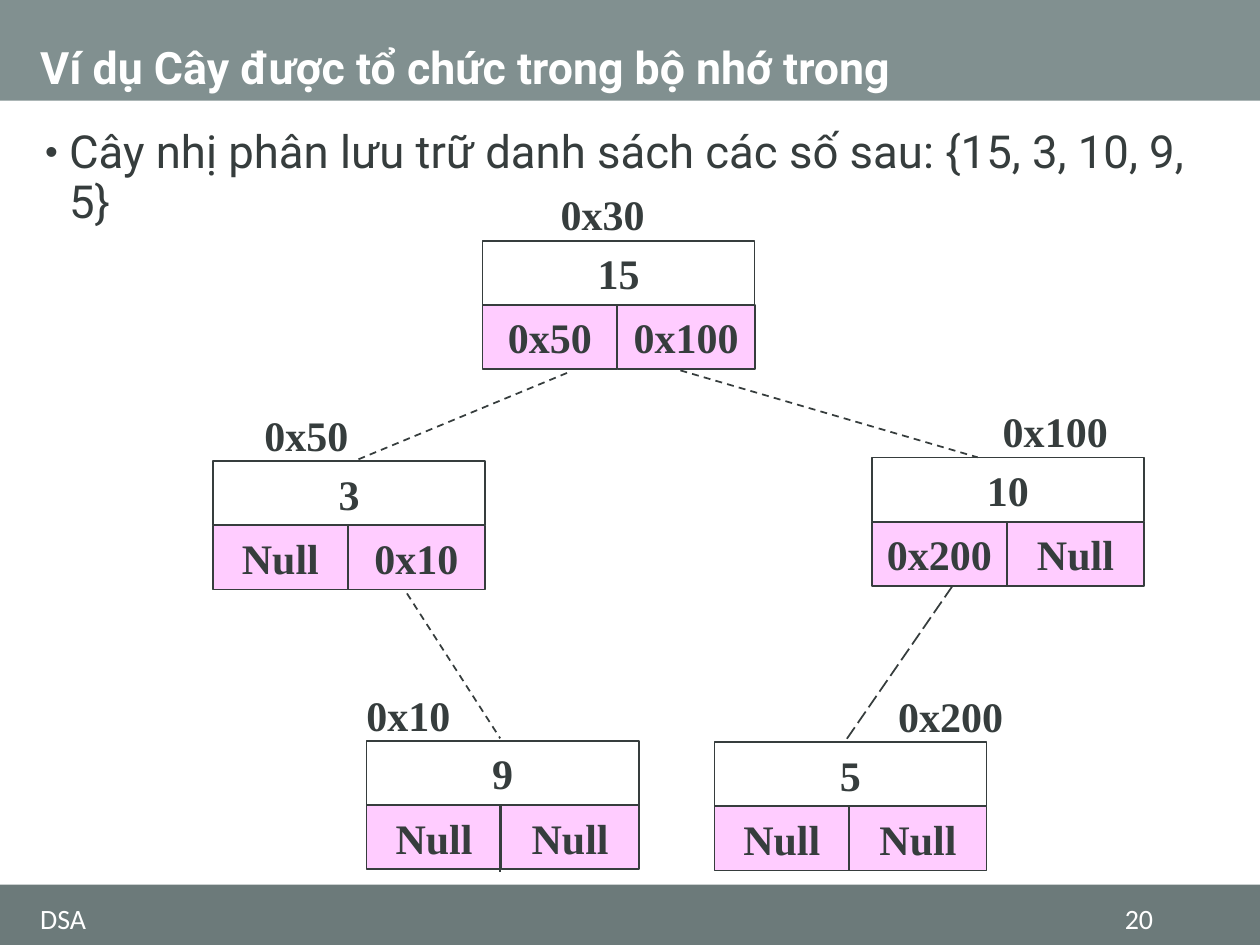
"""Draw a binary tree as it is laid out in memory, one record per node."""
from dataclasses import dataclass
from typing import Optional

from lxml.etree import SubElement
from pptx import Presentation
from pptx.dml.color import RGBColor
from pptx.enum.dml import MSO_LINE_DASH_STYLE as Dash
from pptx.enum.shapes import MSO_CONNECTOR as Conn, MSO_SHAPE as Shape
from pptx.enum.text import MSO_ANCHOR as Anchor, PP_ALIGN as Align
from pptx.oxml.ns import qn
from pptx.util import Inches, Pt

COLS, ROWS = 100, 75
WIDTH, HEIGHT = Inches(10), Inches(7.5)


@dataclass(frozen=True)
class Theme:
    ink: str = "363D3D"
    white: str = "FFFFFF"
    header: str = "819090"
    footer: str = "6C7A7A"
    pointer: str = "FFCCFF"
    title_size: float = 25.5
    body_size: float = 26
    node_size: float = 24
    footer_size: float = 16
    text_font: str = "Roboto"
    node_font: str = "Times New Roman"
    footer_font: str = "Calibri"


@dataclass(frozen=True)
class Node:
    col: float
    row: float
    key: str
    left: str
    right: str
    address: str
    address_shift: float


@dataclass(frozen=True)
class Link:
    start: tuple[float, float]
    end: tuple[float, float]
    dash: Optional[Dash] = Dash.DASH


THEME = Theme()
LEFT_COLS, RIGHT_COLS, CELL_ROWS = 10.7, 10.9, 5.1
ADDRESS_COLS, ADDRESS_RISE = 13.1, 4.6

NODES = (
    Node(38.3, 19.1, "15", "0x50", "0x100", "0x30", 5.2),
    Node(16.9, 36.6, "3", "Null", "0x10", "0x50", 3.1),
    Node(69.2, 36.3, "10", "0x200", "Null", "0x100", 9.4),
    Node(29.1, 58.8, "9", "Null", "Null", "0x10", -1),
    Node(56.7, 58.9, "5", "Null", "Null", "0x200", 13.6),
)
LINKS = (
    Link((45, 29.6), (28.1, 36.6)),
    Link((54, 29.4), (77.6, 36.3)),
    Link((32.3, 47.1), (39.7, 58.6)),
    Link((75.6, 46.5), (67.1, 58.8), Dash.LONG_DASH),
    Link((39.7, 63.9), (39.7, 69.2), None),
)


def x(cols: float) -> int:
    """Turn grid columns into a length."""
    return round(WIDTH * cols / COLS)


def y(rows: float) -> int:
    """Turn grid rows into a length."""
    return round(HEIGHT * rows / ROWS)


def write(sp, text: str, *, size: float, font: str, color: str, bold: bool = False,
          align: Align = Align.LEFT, anchor: Anchor = Anchor.TOP,
          line_spacing: Optional[float] = None):
    """Put one formatted paragraph into a shape and return it."""
    tf = sp.text_frame
    tf.word_wrap = True
    tf.vertical_anchor = anchor
    p = tf.paragraphs[0]
    p.alignment = align
    p.line_spacing = line_spacing
    r = p.add_run()
    r.text = text
    r.font.size, r.font.name, r.font.bold = Pt(size), font, bold
    r.font.color.rgb = RGBColor.from_string(color)
    return p


def add_text(s, box: tuple[float, float, float, float], text: str, **fmt):
    """Add a text box given in grid units."""
    col, row, cols, rows = box
    return write(s.shapes.add_textbox(x(col), y(row), x(cols), y(rows)), text, **fmt)


def add_rect(s, box: tuple[float, float, float, float], fill: Optional[str] = None,
             line: Optional[str] = None):
    """Add a flat rectangle given in grid units."""
    col, row, cols, rows = box
    sp = s.shapes.add_shape(Shape.RECTANGLE, x(col), y(row), x(cols), y(rows))
    sp.shadow.inherit = False
    if fill:
        sp.fill.solid()
        sp.fill.fore_color.rgb = RGBColor.from_string(fill)
    else:
        sp.fill.background()
    if line:
        sp.line.color.rgb = RGBColor.from_string(line)
        sp.line.width = Pt(1)
    else:
        sp.line.fill.background()
    return sp


def add_bullet(p) -> None:
    """Give a paragraph a hanging bullet."""
    pPr = p._p.get_or_add_pPr()
    pPr.set("marL", str(Inches(0.23)))
    pPr.set("indent", str(Inches(-0.19)))
    SubElement(pPr, qn("a:buSzPct"), val="80000")
    SubElement(pPr, qn("a:buFont"), typeface="Arial")
    SubElement(pPr, qn("a:buChar"), char="•")


def add_node(s, node: Node) -> None:
    """Draw a record: key on top, two pointers below, address above."""
    fmt = dict(size=THEME.node_size, font=THEME.node_font, color=THEME.ink, bold=True)
    below, middle = node.row + CELL_ROWS, node.col + LEFT_COLS
    cells = (
        (node.col, node.row, LEFT_COLS + RIGHT_COLS, node.key, None),
        (node.col, below, LEFT_COLS, node.left, THEME.pointer),
        (middle, below, RIGHT_COLS, node.right, THEME.pointer),
    )
    for col, row, cols, text, fill in cells:
        sp = add_rect(s, (col, row, cols, CELL_ROWS), fill, THEME.ink)
        write(sp, text, align=Align.CENTER, anchor=Anchor.MIDDLE, **fmt)
    add_text(s, (node.col + node.address_shift, node.row - ADDRESS_RISE,
                 ADDRESS_COLS, CELL_ROWS), node.address, **fmt)


def add_link(s, link: Link) -> None:
    """Draw a straight line between two grid points."""
    (c1, r1), (c2, r2) = link.start, link.end
    cn = s.shapes.add_connector(Conn.STRAIGHT, x(c1), y(r1), x(c2), y(r2))
    cn.line.color.rgb = RGBColor.from_string(THEME.ink)
    cn.line.width = Pt(1)
    if link.dash:
        cn.line.dash_style = link.dash
    SubElement(cn._element.spPr, qn("a:effectLst"))


def main() -> None:
    """Build and save the slide."""
    prs = Presentation()
    prs.slide_width, prs.slide_height = WIDTH, HEIGHT
    s = prs.slides.add_slide(prs.slide_layouts[6])
    add_rect(s, (0, 0, COLS, 8), THEME.header)
    add_rect(s, (0, 70.2, COLS, 4.8), THEME.footer)
    add_text(s, (2.2, 0, 95.7, 8), "Ví dụ Cây được tổ chức trong bộ nhớ trong",
             size=THEME.title_size, font=THEME.text_font, color=THEME.white,
             bold=True, anchor=Anchor.BOTTOM, line_spacing=0.9)
    p = add_text(s, (2.2, 9.8, 95.7, 60.5),
                 "Cây nhị phân lưu trữ danh sách các số sau: {15, 3, 10, 9, 5}",
                 size=THEME.body_size, font=THEME.text_font, color=THEME.ink,
                 line_spacing=0.9)
    p.space_before = Pt(13.5)
    add_bullet(p)
    for node in NODES:
        add_node(s, node)
    for link in LINKS:
        add_link(s, link)
    footer = dict(size=THEME.footer_size, font=THEME.footer_font, color=THEME.white,
                  anchor=Anchor.MIDDLE)
    add_text(s, (2.2, 71.6, 69.5, 2.6), "DSA", **footer)
    add_text(s, (84.7, 71.6, 7.8, 2.6), "20", align=Align.RIGHT, **footer)
    prs.save("out.pptx")


if __name__ == "__main__":
    main()
